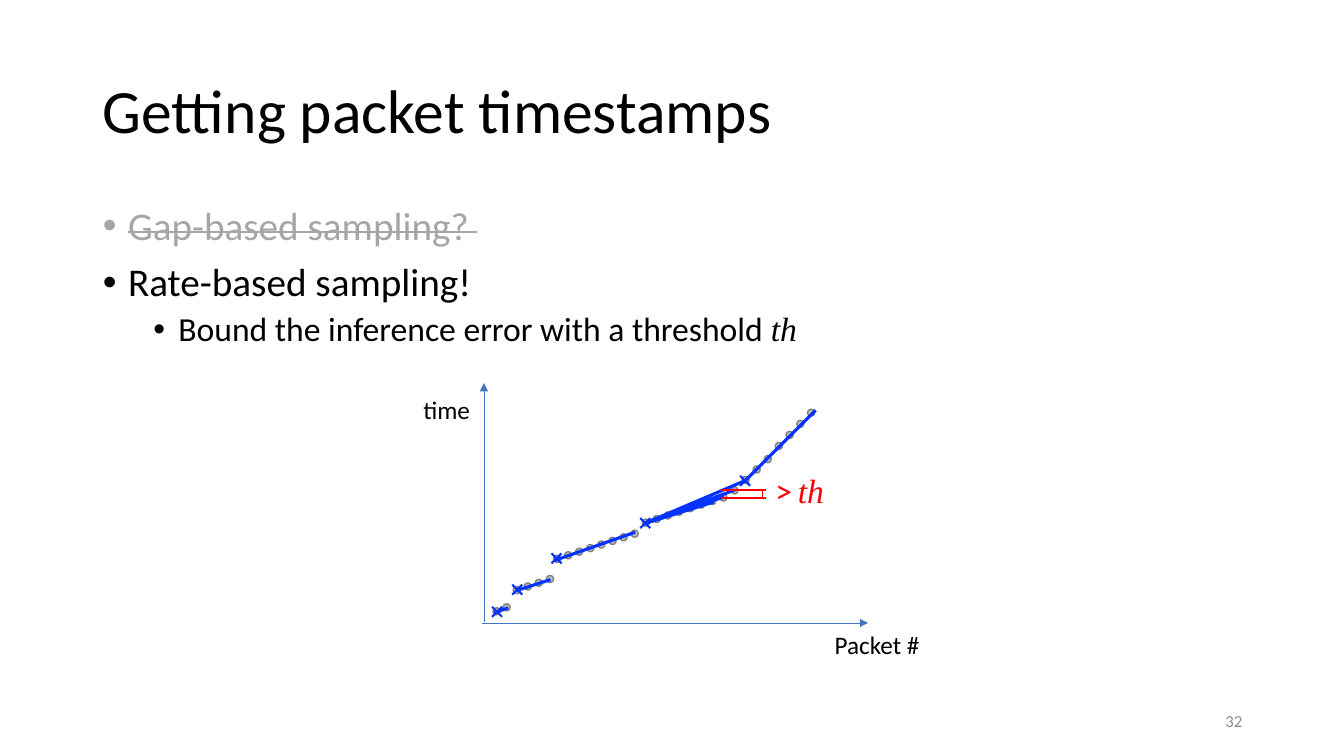
from lxml import etree
from pptx import Presentation
from pptx.dml.color import RGBColor
from pptx.enum.shapes import MSO_CONNECTOR, MSO_SHAPE
from pptx.enum.text import MSO_ANCHOR, MSO_AUTO_SIZE, PP_ALIGN
from pptx.oxml.ns import qn
from pptx.util import Inches, Pt

STRAIGHT, OVAL = MSO_CONNECTOR.STRAIGHT, MSO_SHAPE.OVAL
LEFT, RIGHT = PP_ALIGN.LEFT, PP_ALIGN.RIGHT
TOP, MIDDLE = MSO_ANCHOR.TOP, MSO_ANCHOR.MIDDLE
NO_FIT, GROW = MSO_AUTO_SIZE.NONE, MSO_AUTO_SIZE.SHAPE_TO_FIT_TEXT

BLACK = RGBColor(0x00, 0x00, 0x00)
STRUCK_GREY = RGBColor(0xA6, 0xA6, 0xA6)
NUMBER_GREY = RGBColor(0x8C, 0x8C, 0x8C)
DOT_FILL = RGBColor(0xBF, 0xBF, 0xBF)
DOT_LINE = RGBColor(0x80, 0x80, 0x80)
AXIS_BLUE = RGBColor(0x44, 0x72, 0xC4)
SAMPLE_BLUE = RGBColor(0x04, 0x32, 0xFF)
RED = RGBColor(0xFF, 0x00, 0x00)
SANS, SERIF = "Calibri", "Times New Roman"

# Content: runs are (text, size, colour, extra font values)
MATH = {"name": SERIF, "italic": True}
TITLE = [("Getting packet timestamps", 44, BLACK, {})]
BULLETS = [  # level, left margin, space before, struck out, runs
    (0, 0.25, 0, True, [("Gap-based sampling? ", 28, STRUCK_GREY, {})]),
    (0, 0.25, 10, False, [("Rate-based sampling!", 28, BLACK, {})]),
    (1, 0.75, 5, False, [("Bound the inference error with a threshold ", 24, BLACK, {}),
                         ("th", 24, BLACK, MATH)]),
]
PAGE_NUMBER = [("32", 12, NUMBER_GREY, {})]
AXIS_LABELS = [
    ((8.18, 6.19, 1.05, 0.4), [("Packet #", 18, BLACK, {})]),
    ((4.1, 3.86, 0.67, 0.4), [("time", 18, BLACK, {})]),
]
THRESHOLD = [(">", 24, RED, {}), (" ", 18, RED, {}), ("th", 24, RED, MATH)]

# Plot geometry in inches
AXES = [((4.78, 6.18), (8.61, 6.18)), ((4.8, 6.17), (4.8, 3.8))]
DOT = 0.07
BURSTS = [  # first packet, last packet (left, top), number of packets
    ((4.89, 6.03), (4.99, 5.99), 2),
    ((5.09, 5.82), (5.42, 5.71), 4),
    ((5.49, 5.51), (6.26, 5.26), 8),
    ((6.37, 5.15), (7.14, 4.9), 8),
    ((7.25, 4.83), (7.58, 4.52), 4),
    ((7.69, 4.39), (8.01, 4.06), 4),
]
CROSS_ARM = 0.05
SAMPLES = [(4.93, 6.07), (5.13, 5.85), (5.52, 5.54), (6.4, 5.19), (7.39, 4.77)]
FITS = [
    ((4.9, 6.08), (5.04, 6.03)),
    ((5.12, 5.86), (5.46, 5.75)),
    ((5.5, 5.56), (6.3, 5.28)),
    ((7.38, 4.78), (8.09, 4.07)),
]
FAN_START = (6.4, 5.19)
FAN_ENDS = [(6.53, 5.14), (6.63, 5.11), (6.74, 5.07), (6.84, 5.04), (6.98, 5.01),
            (7.08, 4.98), (7.18, 4.93), (7.29, 4.86), (7.41, 4.76)]
ERROR_MARK = [((7.16, 4.94), (7.6, 4.94)), ((7.16, 4.86), (7.6, 4.86)),
              ((7.56, 4.85), (7.56, 4.94))]


def place(box, at):
    box.left, box.top, box.width, box.height = map(Inches, at)


def write(paragraph, runs):
    for text, size, colour, extra in runs:
        run = paragraph.add_run()
        run.text = text
        for key, value in {"name": SANS, "size": Pt(size), **extra}.items():
            setattr(run.font, key, value)
        run.font.color.rgb = colour


def add_label(shapes, at, runs, frame_format, align=LEFT):
    label = shapes.add_textbox(*map(Inches, at))
    for key, value in frame_format.items():
        setattr(label.text_frame, key, value)
    paragraph = label.text_frame.paragraphs[0]
    paragraph.alignment = align
    write(paragraph, runs)


def add_line(shapes, start, end, colour, width, arrow=False):
    line = shapes.add_connector(STRAIGHT, *map(Inches, start + end))
    line.line.color.rgb = colour
    line.line.width = Pt(width)
    if arrow:
        etree.SubElement(line.line._get_or_add_ln(), qn("a:tailEnd"), type="triangle")
    etree.SubElement(line._element.spPr, qn("a:effectLst"))


def add_bullet(paragraph, margin):
    props = paragraph._p.get_or_add_pPr()
    props.set("marL", str(Inches(margin)))
    props.set("indent", str(-Inches(0.25)))
    etree.SubElement(props, qn("a:buFont"), typeface="Arial")
    etree.SubElement(props, qn("a:buChar"), char="•")


def main():
    deck = Presentation()
    deck.slide_width, deck.slide_height = Inches(13.33), Inches(7.5)
    slide = deck.slides.add_slide(deck.slide_layouts[1])
    shapes = slide.shapes

    # Title
    title = shapes.title
    place(title, (0.92, 0.4, 11.5, 1.45))
    title.text_frame.vertical_anchor = MIDDLE
    title.text_frame.auto_size = NO_FIT
    heading = title.text_frame.paragraphs[0]
    heading.alignment, heading.line_spacing = LEFT, 0.9
    write(heading, TITLE)

    # Bullet list
    body = slide.placeholders[1]
    place(body, (0.92, 2, 11.5, 4.76))
    frame = body.text_frame
    frame.vertical_anchor, frame.auto_size = TOP, NO_FIT
    for i, (level, margin, before, struck, runs) in enumerate(BULLETS):
        item = frame.add_paragraph() if i else frame.paragraphs[0]
        item.level, item.line_spacing, item.space_before = level, 0.9, Pt(before)
        add_bullet(item, margin)
        write(item, runs)
        if struck:
            for run in item.runs:
                run.font._element.set("strike", "sngStrike")

    # Page number
    add_label(shapes, (9.42, 6.95, 3, 0.4), PAGE_NUMBER,
              {"word_wrap": True, "vertical_anchor": MIDDLE}, RIGHT)

    # Axes and their labels
    axes = shapes.add_group_shape().shapes
    for start, end in AXES:
        add_line(axes, start, end, AXIS_BLUE, 0.5, arrow=True)
    for at, runs in AXIS_LABELS:
        add_label(shapes, at, runs, {"word_wrap": False, "auto_size": GROW})

    # Packets, evenly spaced within each burst
    for (x0, y0), (x1, y1), count in BURSTS:
        for i in range(count):
            share = i / (count - 1)
            x, y = x0 + (x1 - x0) * share, y0 + (y1 - y0) * share
            packet = shapes.add_shape(OVAL, *map(Inches, (x, y, DOT, DOT)))
            packet.shadow.inherit = False
            packet.fill.solid()
            packet.fill.fore_color.rgb = DOT_FILL
            packet.line.color.rgb = DOT_LINE
            packet.line.width = Pt(1)

    # Sampled packets, marked with crosses
    for x, y in SAMPLES:
        cross = shapes.add_group_shape().shapes
        for rise in (CROSS_ARM, -CROSS_ARM):
            add_line(cross, (x - CROSS_ARM, y - rise), (x + CROSS_ARM, y + rise),
                     SAMPLE_BLUE, 1.5)

    # Fitted rates, with the fan of successive attempts
    for start, end in FITS + [(FAN_START, end) for end in FAN_ENDS]:
        add_line(shapes, start, end, SAMPLE_BLUE, 2.25)

    # Error above the threshold
    error = shapes.add_group_shape().shapes
    for start, end in ERROR_MARK:
        add_line(error, start, end, RED, 1)
    no_margins = dict.fromkeys(
        ("margin_left", "margin_top", "margin_right", "margin_bottom"), 0)
    add_label(error, (7.69, 4.66, 0.49, 0.4), THRESHOLD,
              {"word_wrap": False, "auto_size": GROW, **no_margins})

    deck.save("out.pptx")


if __name__ == "__main__":
    main()
